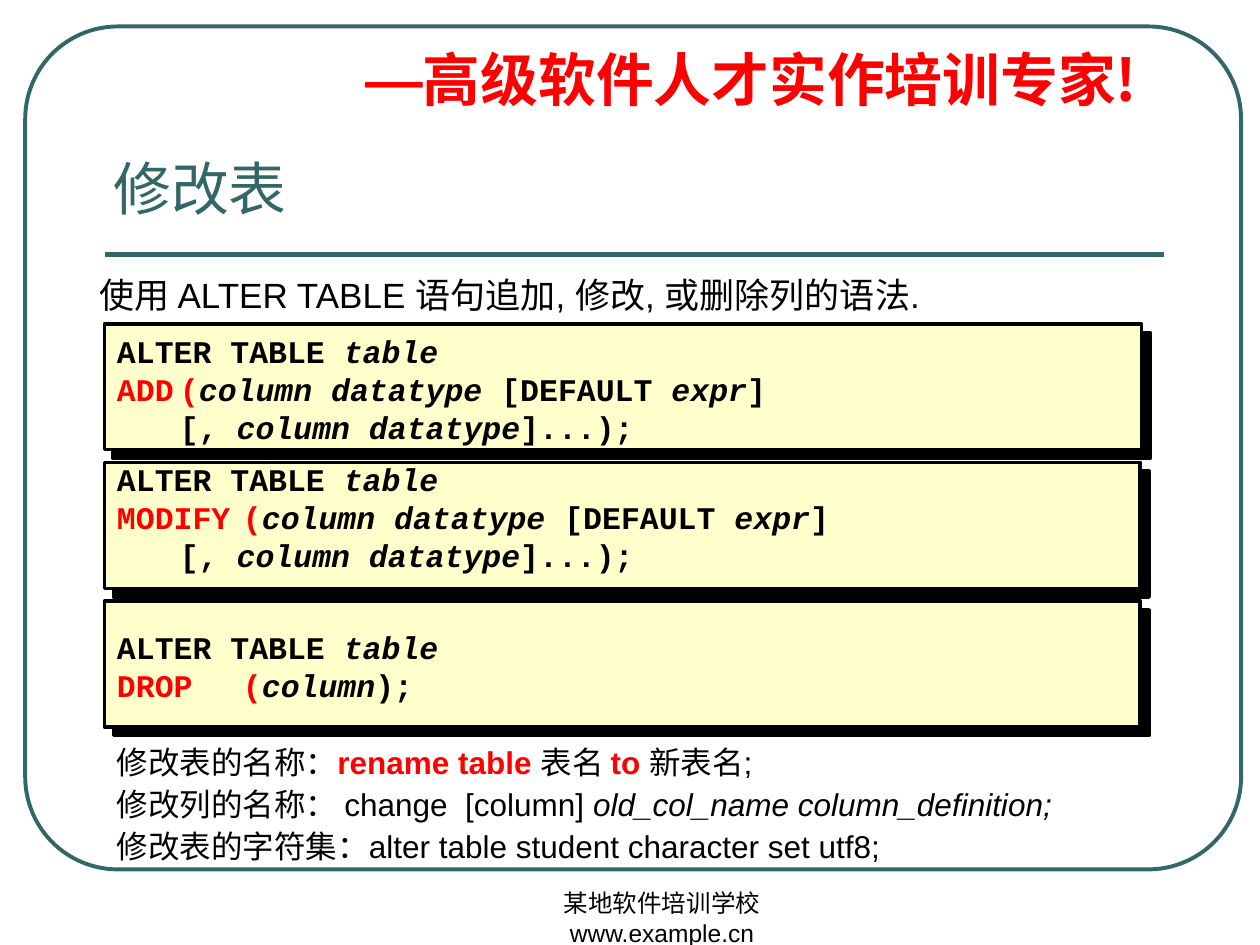
from lxml.etree import SubElement
from pptx import Presentation
from pptx.dml.color import RGBColor
from pptx.enum.shapes import MSO_CONNECTOR as Connector, MSO_SHAPE as Shape
from pptx.enum.text import MSO_ANCHOR as Anchor, MSO_AUTO_SIZE as AutoSize, PP_ALIGN as Align
from pptx.oxml.ns import qn
from pptx.util import Inches, Pt

TEAL, RED, BLACK, CREAM = "336666", "FF0000", "000000", "FFFFCC"
CJK, SANS, CODE = "Noto Sans CJK SC", "Arial", "Courier New"

# Content: paragraphs are lists of (text, style); r = red, b = bold, i = italic
TITLE = "修改表"
INTRO = "使用 ALTER TABLE 语句追加, 修改, 或删除列的语法."
SLOGAN = [("—", "rb"), ("高级软件人才实作培训专家!", "rb")]
FOOTER = "某地软件培训学校 www.example.cn"

FIRST_LINE = [("ALTER TABLE ", "b"), ("table", "bi")]
COLUMN_LINES = [
    [("\t(", "rb"), ("column datatype ", "bi"), ("[DEFAULT ", "b"), ("expr", "bi"), ("]", "b")],
    [("\t[, ", "b"), ("column datatype", "bi"), ("]...);", "b")],
]


def column_statement(keyword):
    (_, style), *rest = COLUMN_LINES[0]
    return [FIRST_LINE, [(keyword + "\t(", style), *rest], COLUMN_LINES[1]]


# (paragraphs, panel width, text top, tab stop)
STATEMENTS = [
    (column_statement("ADD"), 8.23, 2.57, 1.76),
    (column_statement("MODIFY"), 8.22, 3.59, 1.76),
    ([FIRST_LINE, [("DROP\t(", "rb"), ("column", "bi"), (");", "b")]], 8.22, 4.77, 1.66),
]
OTHER_CHANGES = [
    [("修改表的名称：", ""), ("rename table ", "rb"), ("表名 ", ""), ("to ", "rb"), ("新表名;", "")],
    [("修改列的名称： change  [column] ", ""), ("old_col_name column_definition;", "i")],
    [("修改表的字符集：alter table student character set utf8;", "")],
]
PANEL_LEFT, PANEL_TOP, PANEL_HEIGHT, PANEL_PITCH = 0.83, 2.57, 1, 1.1


def rgb(value):
    return RGBColor.from_string(value)


def place(shape, *box):
    shape.left, shape.top, shape.width, shape.height = map(Inches, box)


def format_run(run, size, font, color, style="", east_asian=CJK):
    run.font.size, run.font.name = Pt(size), font
    run.font.bold, run.font.italic = "b" in style, "i" in style
    run.font.color.rgb = rgb(RED if "r" in style else color)
    SubElement(run.font._element, qn("a:ea"), typeface=east_asian)


def fill_text(shape, paragraphs, size, font, color=BLACK, spacing=1.0, before=0,
              indent=0, tab=None, align=Align.LEFT, anchor=Anchor.TOP):
    frame = shape.text_frame
    frame.word_wrap, frame.auto_size = True, AutoSize.NONE
    frame.vertical_anchor = anchor
    for index, runs in enumerate(paragraphs):
        paragraph = frame.add_paragraph() if index else frame.paragraphs[0]
        paragraph.alignment, paragraph.line_spacing = align, spacing
        paragraph.space_before = Pt(before)
        properties = paragraph._p.get_or_add_pPr()
        properties.set("marL", str(Inches(indent)))
        properties.set("indent", str(-Inches(indent)))
        SubElement(properties, qn("a:buNone"))
        if tab:
            stops = SubElement(properties, qn("a:tabLst"))
            SubElement(stops, qn("a:tab"), pos=str(Inches(tab)), algn="l")
        for text, style in runs:
            run = paragraph.add_run()
            run.text = text
            format_run(run, size, font, color, style)


def add_text(slide, box, paragraphs, size, font, **options):
    shape = slide.shapes.add_textbox(*map(Inches, box))
    fill_text(shape, paragraphs, size, font, **options)
    return shape


def add_panel(slide, *box):
    panel = slide.shapes.add_shape(Shape.RECTANGLE, *map(Inches, box))
    panel.fill.solid()
    panel.fill.fore_color.rgb = rgb(CREAM)
    panel.line.color.rgb, panel.line.width = rgb(BLACK), Pt(2)
    panel.shadow.inherit = False
    effects = panel._element.spPr.find(qn("a:effectLst"))
    shadow = SubElement(effects, qn("a:outerShdw"), blurRad="0", dist=str(Pt(7.1)),
                        dir="2700000", algn="ctr", rotWithShape="0")
    SubElement(shadow, qn("a:srgbClr"), val=BLACK)


def main():
    presentation = Presentation()
    presentation.slide_width, presentation.slide_height = Inches(10), Inches(7.5)
    slide = presentation.slides.add_slide(presentation.slide_layouts[1])

    # Frame and title rule
    frame = slide.shapes.add_shape(Shape.ROUNDED_RECTANGLE,
                                   *map(Inches, (0.2, 0.21, 9.65, 6.69)))
    frame.adjustments[0] = 0.11
    frame.fill.background()
    frame.line.color.rgb, frame.line.width = rgb(TEAL), Pt(2.25)
    frame.shadow.inherit = False
    rule = slide.shapes.add_connector(Connector.STRAIGHT,
                                      *map(Inches, (0.83, 2.02, 9.24, 2.02)))
    rule.line.color.rgb, rule.line.width = rgb(TEAL), Pt(3)
    SubElement(rule._element.spPr, qn("a:effectLst"))

    # Slogan and footer
    slogan = add_text(slide, (2.8, 0.36, 6.3, 0.6), [SLOGAN], 33, CJK,
                      spacing=0.9, before=8.2, indent=0.38)
    dash = slogan.text_frame.paragraphs[0].runs[0].font
    dash.name = "Montserrat"
    dash._element.find(qn("a:ea")).set("typeface", "Montserrat")
    add_text(slide, (3.67, 7, 3.17, 0.5), [[(FOOTER, "")]], 14, SANS, align=Align.CENTER)

    # Title and introduction
    title, body = slide.shapes.title, slide.placeholders[1]
    place(title, 0.8, 1.16, 8.5, 0.79)
    fill_text(title, [[(TITLE, "")]], 33, CJK, color=TEAL)
    place(body, 0.69, 2.17, 8.51, 0.38)
    fill_text(body, [[(INTRO, "")]], 20, SANS, spacing=0.85, indent=0.38)

    # Statement panels
    for index, (paragraphs, width, text_top, tab) in enumerate(STATEMENTS):
        add_panel(slide, PANEL_LEFT, PANEL_TOP + index * PANEL_PITCH, width, PANEL_HEIGHT)
        add_text(slide, (PANEL_LEFT, text_top, 7.98, 1.03), paragraphs, 18, CODE,
                 tab=tab, anchor=Anchor.MIDDLE)

    # Other changes
    add_text(slide, (0.83, 5.88, 8.27, 1.04), OTHER_CHANGES, 18, SANS,
             spacing=0.9, before=4.5, indent=0.38)

    presentation.save("out.pptx")


if __name__ == "__main__":
    main()
